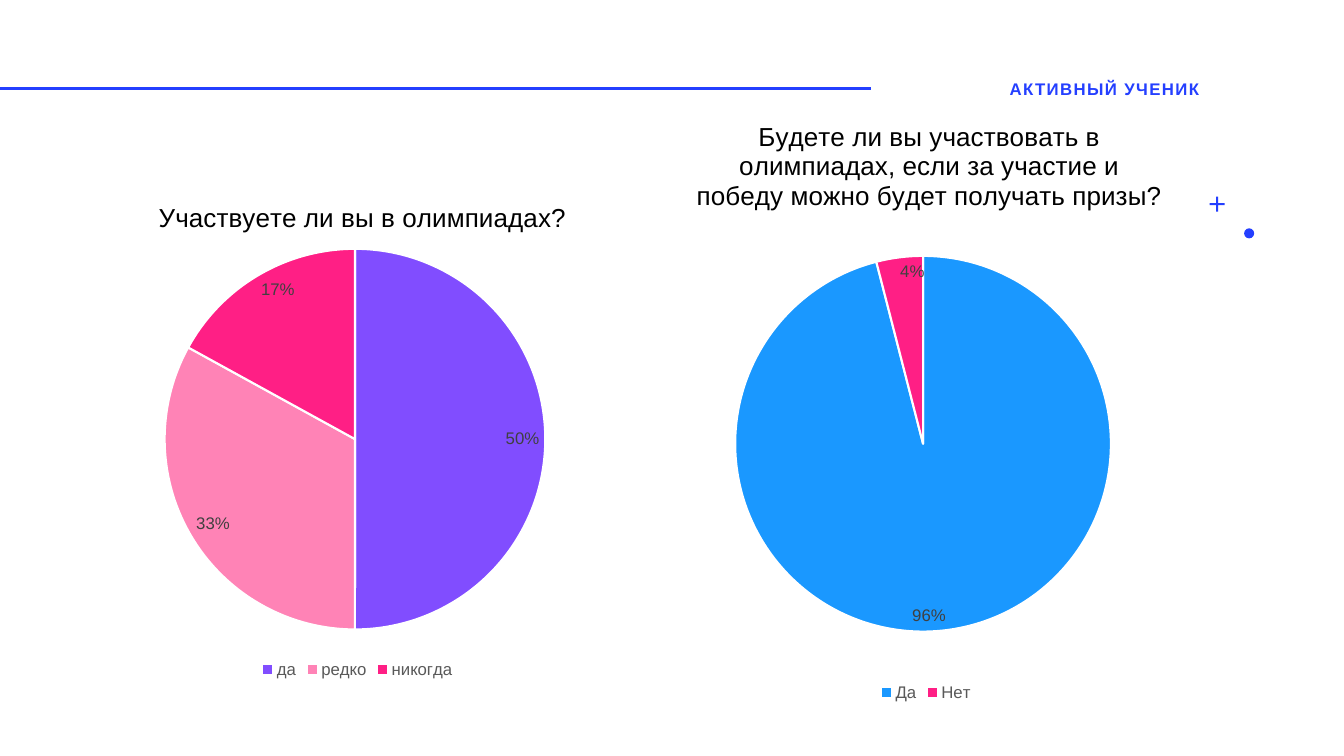
from dataclasses import dataclass

from lxml.etree import SubElement
from pptx import Presentation
from pptx.chart.data import CategoryChartData
from pptx.dml.color import RGBColor
from pptx.enum.chart import XL_CHART_TYPE, XL_LABEL_POSITION, XL_LEGEND_POSITION
from pptx.enum.shapes import MSO_CONNECTOR, MSO_SHAPE
from pptx.enum.text import MSO_ANCHOR, PP_ALIGN
from pptx.oxml import parse_xml
from pptx.oxml.ns import nsdecls, qn
from pptx.util import Pt


@dataclass(frozen=True)
class Theme:
    font: str = "Arial"
    accent: str = "243FFF"
    title: str = "000000"
    label: str = "404040"
    legend: str = "595959"
    gap: str = "FFFFFF"
    violet: str = "814DFF"
    rose: str = "FF83B6"
    pink: str = "FF1F85"
    blue: str = "1A98FF"
    title_size: float = 18.6
    small_size: float = 12


THEME = Theme()


def rgb(value):
    return RGBColor.from_string(value)


def format_font(font, size, color, bold=False):
    for name, value in {"name": THEME.font, "size": Pt(size), "bold": bold}.items():
        setattr(font, name, value)
    font.color.rgb = rgb(color)


def set_layout(element, index, inner=False, **fractions):
    """Place a chart part by fractions of the chart's box."""
    old = element.find(qn("c:layout"))
    if old is not None:
        element.remove(old)
    layout = parse_xml(f"<c:layout {nsdecls('c')}><c:manualLayout/></c:layout>")
    manual = layout[0]
    if inner:
        SubElement(manual, qn("c:layoutTarget")).set("val", "inner")
    for key in ("x", "y"):
        SubElement(manual, qn(f"c:{key}Mode")).set("val", "edge")
    for key, value in fractions.items():
        SubElement(manual, qn(f"c:{key}")).set("val", str(value))
    element.insert(index, layout)


# Header: rule and section name
def add_header(s, left, top, width, height):
    middle = top + height / 2
    rule = s.shapes.add_connector(MSO_CONNECTOR.STRAIGHT, Pt(left), Pt(middle),
                                  Pt(left + 622), Pt(middle))
    rule.line.color.rgb = rgb(THEME.accent)
    rule.line.width = Pt(2)
    SubElement(rule._element.spPr, qn("a:effectLst"))

    name_width = 324
    box = s.shapes.add_textbox(Pt(left + width - name_width), Pt(top),
                               Pt(name_width), Pt(height))
    tf = box.text_frame
    for key, value in {"word_wrap": True, "vertical_anchor": MSO_ANCHOR.MIDDLE}.items():
        setattr(tf, key, value)
    p = tf.paragraphs[0]
    p.alignment = PP_ALIGN.CENTER
    r = p.add_run()
    r.text = "АКТИВНЫЙ УЧЕНИК"
    format_font(r.font, THEME.small_size, THEME.accent, bold=True)
    r._r.get_or_add_rPr().set("spc", "100")


# Decoration: plus and dot
def add_marks(s, left, top):
    for kind, dx, dy, size in ((MSO_SHAPE.CROSS, 0, 0, 10.8),
                               (MSO_SHAPE.OVAL, 24.7, 22.7, 7.2)):
        sp = s.shapes.add_shape(kind, Pt(left + dx), Pt(top + dy), Pt(size), Pt(size))
        sp.shadow.inherit = False
        sp.fill.solid()
        sp.fill.fore_color.rgb = rgb(THEME.accent)
        sp.line.fill.background()
        if kind == MSO_SHAPE.CROSS:
            sp.adjustments[0] = 0.43


# Pie chart with its question as title
def add_pie(s, left, top, width, height, question, answers, title_at, pie_at):
    data = CategoryChartData(number_format="0%")
    data.categories = [name for name, _, _ in answers]
    data.add_series("Series 1", [value for _, value, _ in answers])
    chart = s.shapes.add_chart(XL_CHART_TYPE.PIE, Pt(left), Pt(top),
                               Pt(width), Pt(height), data).chart
    format_font(chart.font, 10, THEME.title)

    chart.has_title = True
    title = chart.chart_title
    p = title.text_frame.paragraphs[0]
    r = p.add_run()
    r.text = question
    format_font(r.font, THEME.title_size, THEME.title)
    set_layout(title._element, 1, **title_at)
    set_layout(chart._chartSpace.chart.plotArea, 0, inner=True, **pie_at)

    chart.has_legend = True
    for key, value in {"position": XL_LEGEND_POSITION.BOTTOM,
                       "include_in_layout": False}.items():
        setattr(chart.legend, key, value)
    format_font(chart.legend.font, THEME.small_size, THEME.legend)

    plot = chart.plots[0]
    plot.vary_by_categories = True
    plot.has_data_labels = True
    labels = plot.data_labels
    for key, value in {"show_value": True, "show_percentage": False,
                       "number_format": "0%", "number_format_is_linked": False,
                       "position": XL_LABEL_POSITION.INSIDE_END}.items():
        setattr(labels, key, value)
    format_font(labels.font, THEME.small_size, THEME.label)

    for i, (_, _, color) in enumerate(answers):
        fmt = plot.series[0].points[i].format
        fmt.fill.solid()
        fmt.fill.fore_color.rgb = rgb(color)
        fmt.line.color.rgb = rgb(THEME.gap)
        fmt.line.width = Pt(1.5)


def main():
    prs = Presentation()
    prs.slide_width, prs.slide_height = Pt(960), Pt(540)
    s = prs.slides.add_slide(prs.slide_layouts[6])

    add_header(s, 0, 49, 951, 28.8)
    add_marks(s, 864, 140.4)
    add_pie(s, 64, 121.7, 383, 365.8, "Участвуете ли вы в олимпиадах?",
            [("да", 0.5, THEME.violet), ("редко", 0.33, THEME.rose),
             ("никогда", 0.17, THEME.pink)],
            title_at={"x": 0.12, "y": 0.05},
            pie_at={"x": 0.14, "y": 0.15, "w": 0.71, "h": 0.75})
    add_pie(s, 447, 64, 429, 440,
            "Будете ли вы участвовать в олимпиадах, если за участие и "
            "победу можно будет получать призы?",
            [("Да", 0.96, THEME.blue), ("Нет", 0.04, THEME.pink)],
            title_at={"x": 0.11, "y": 0.04},
            pie_at={"x": 0.18, "y": 0.27, "w": 0.63, "h": 0.61})

    prs.save("out.pptx")


if __name__ == "__main__":
    main()
